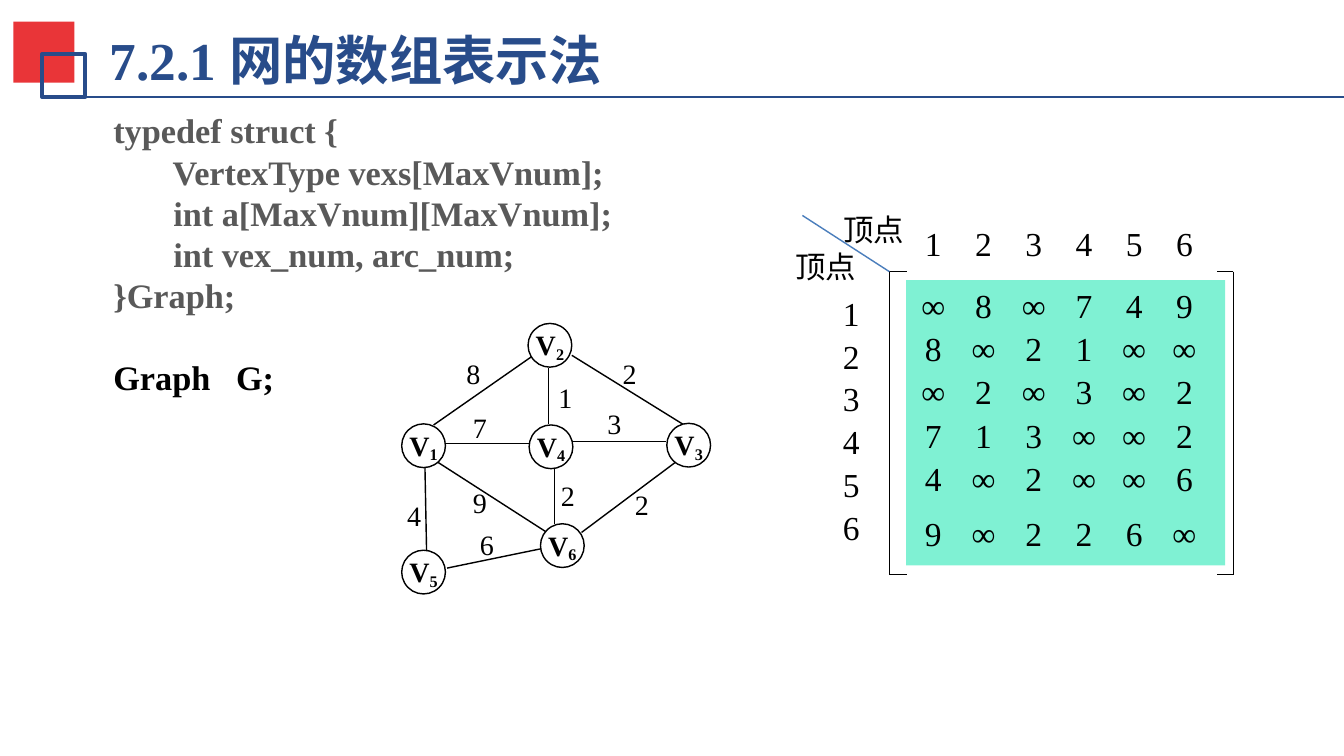
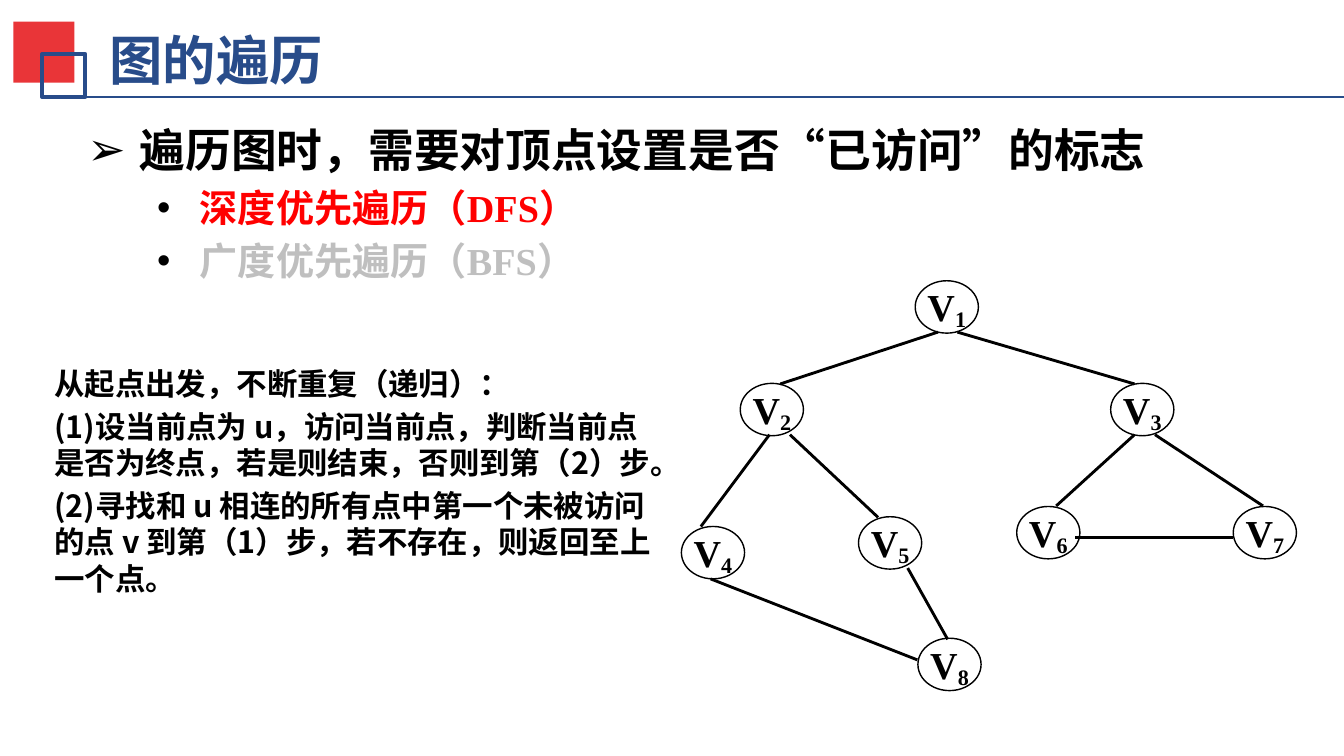
import pptx
import pptx.util
import pptx.dml.color
import pptx.enum.shapes
import pptx.enum.text
import pptx.oxml.ns
from lxml import etree

Cm = pptx.util.Cm
Pt = pptx.util.Pt
RGBColor = pptx.dml.color.RGBColor
ALIGN = pptx.enum.text.PP_ALIGN
ANCHOR = pptx.enum.text.MSO_ANCHOR
SHAPE = pptx.enum.shapes.MSO_SHAPE
qn = pptx.oxml.ns.qn

BLACK = RGBColor(0x00, 0x00, 0x00)
WHITE = RGBColor(0xFF, 0xFF, 0xFF)
NAVY = RGBColor(0x28, 0x4C, 0x8A)
RED_BLOCK = RGBColor(0xE9, 0x35, 0x38)
MINT = RGBColor(0x00, 0xE4, 0xA8)
CODE_GRAY = RGBColor(0x59, 0x59, 0x59)
CORNER_BLUE = RGBColor(0x4B, 0x7E, 0xBC)
BRIGHT_RED = RGBColor(0xFF, 0x00, 0x00)
FADED = RGBColor(0xBF, 0xBF, 0xBF)

SERIF = "Times New Roman"
SANS = "Noto Sans CJK SC"
INSETS = (0.25, 0.13, 0.25, 0.13)
NO_INSETS = (0, 0, 0, 0)


class Deck:
    def __init__(self):
        self.deck = pptx.Presentation()
        self.deck.slide_width = Cm(24.89)
        self.deck.slide_height = Cm(14)
        self.slide = None

    def start(self, heading):
        self.slide = self.deck.slides.add_slide(self.deck.slide_layouts[5])
        title = self.slide.shapes.title
        title.left, title.top, title.width, title.height = Cm(1.85), Cm(0.4), Cm(18), Cm(1.4)
        frame = title.text_frame
        frame.auto_size = pptx.enum.text.MSO_AUTO_SIZE.NONE
        self.frame(frame, (0.18, 0.1, 0.18, 0.1), ANCHOR.MIDDLE)
        self.paragraph(frame, heading, 28, color=NAVY, bold=True)
        self.shape(SHAPE.RECTANGLE, (0.25, 0.4, 1.13, 1.13), RED_BLOCK)
        self.shape(SHAPE.RECTANGLE, (0.78, 1, 0.8, 0.8), None, NAVY, 2)
        self.line((0.97, 1.8, 24.89, 1.8), NAVY)

    def frame(self, frame, insets=INSETS, anchor=ANCHOR.TOP):
        frame.word_wrap = True
        frame.vertical_anchor = anchor
        (frame.margin_left, frame.margin_top,
         frame.margin_right, frame.margin_bottom) = map(Cm, insets)

    def shape(self, kind, box, fill, outline=None, weight=0.75):
        shape = self.slide.shapes.add_shape(kind, *map(Cm, box))
        shape.shadow.inherit = False
        if fill is None:
            shape.fill.background()
        else:
            shape.fill.solid()
            shape.fill.fore_color.rgb = fill
        if outline is None:
            shape.line.fill.background()
        else:
            shape.line.color.rgb = outline
            shape.line.width = Pt(weight)
        return shape

    def line(self, ends, color=BLACK, weight=0.75):
        line = self.slide.shapes.add_connector(
            pptx.enum.shapes.MSO_CONNECTOR.STRAIGHT, *map(Cm, ends))
        line.line.color.rgb = color
        line.line.width = Pt(weight)
        etree.SubElement(line._element.spPr, qn("a:effectLst"))

    def text(self, box, insets=INSETS, anchor=ANCHOR.TOP):
        frame = self.slide.shapes.add_textbox(*map(Cm, box)).text_frame
        self.frame(frame, insets, anchor)
        return frame

    def paragraph(self, frame, words, size, font=SERIF, color=BLACK, bold=False,
                  align=ALIGN.LEFT, spacing=None, before=0, indent=(0, 0), bullet=None):
        first = frame.paragraphs[0]
        is_first = not first.runs
        paragraph = first if is_first else frame.add_paragraph()
        properties = paragraph._p.get_or_add_pPr()
        properties.set("marL", str(Cm(indent[0])))
        properties.set("indent", str(Cm(indent[1])))
        if bullet:
            tint = etree.SubElement(properties, qn("a:buClr"))
            etree.SubElement(tint, qn("a:srgbClr"), val=str(BLACK))
            etree.SubElement(properties, qn("a:buFont"), typeface="Arial")
            etree.SubElement(properties, qn("a:buChar"), char=bullet)
        paragraph.alignment = align
        if spacing:
            paragraph.line_spacing = spacing
        paragraph.space_before = Pt(0 if is_first else before)
        paragraph.font.size = Pt(size)
        paragraph.font.name = font
        paragraph.font.bold = bold
        paragraph.font.color.rgb = color
        for part in [words] if isinstance(words, str) else words:
            paragraph.add_run().text = part
        return paragraph

    def grid(self, corner, column_width, row_heights, rows, size):
        box = (*corner, column_width * len(rows[0]), sum(row_heights))
        table = self.slide.shapes.add_table(len(rows), len(rows[0]), *map(Cm, box)).table
        table.first_row = table.horz_banding = False
        for column in table.columns:
            column.width = Cm(column_width)
        for row, height, values in zip(table.rows, row_heights, rows):
            row.height = Cm(height)
            for cell, value in zip(row.cells, values):
                cell.margin_left = cell.margin_right = 0
                cell.margin_top = cell.margin_bottom = 0
                cell.vertical_anchor = ANCHOR.MIDDLE
                for side in ("a:lnL", "a:lnR", "a:lnT", "a:lnB"):
                    border = etree.SubElement(cell._tc.get_or_add_tcPr(), qn(side), w="0")
                    etree.SubElement(border, qn("a:noFill"))
                cell.fill.background()
                self.paragraph(cell.text_frame, value, size, align=ALIGN.CENTER, spacing=0.9)

    def vertex(self, number, box, size):
        oval = self.shape(SHAPE.OVAL, box, WHITE, BLACK)
        self.frame(oval.text_frame, (0, 0.1, 0, 0))
        label = self.paragraph(oval.text_frame, ["V", str(number)], size, bold=True,
                               align=ALIGN.CENTER, spacing=0.72)
        label.runs[1].font._element.set("baseline", "-16000")

    def vertices(self, corners, width, height, size):
        for number, (left, top) in enumerate(corners, 1):
            self.vertex(number, (left, top, width, height), size)


def array_slide(deck):
    deck.start("7.2.1 网的数组表示法")

    backdrop = deck.shape(SHAPE.RECTANGLE, (16.78, 5.19, 5.91, 5.28), MINT)
    tint = backdrop._element.spPr.find(".//" + qn("a:srgbClr"))
    etree.SubElement(tint, qn("a:alpha"), val="50000")
    rows = ["123456", "∞8∞749", "8∞21∞∞", "∞2∞3∞2", "713∞∞2", "4∞2∞∞6", "9∞226∞"]
    deck.grid((16.82, 3.81), 0.93, [1.5] + [0.8] * 5 + [1.24], rows, 17.6)
    numbers = deck.text((15.37, 5.03, 0.79, 5.59), NO_INSETS, ANCHOR.MIDDLE)
    for number in rows[0]:
        deck.paragraph(numbers, number, 17.6, align=ALIGN.CENTER, spacing=0.9, before=3.5)

    top, bottom = 5.03, 10.64
    for outer, inner in ((16.47, 16.79), (22.84, 22.53)):
        deck.line((outer, top, outer, bottom))
        for level in (top, bottom):
            deck.line((outer, level, inner, level))

    code = deck.text((1.85, 1.9, 12.9, 5.64))
    for statement in ("typedef struct {",
                      "       VertexType vexs[MaxVnum];",
                      "       int a[MaxVnum][MaxVnum];",
                      "       int vex_num, arc_num;",
                      "}Graph;"):
        deck.paragraph(code, statement, 18, color=CODE_GRAY, bold=True)
    deck.paragraph(code, "Graph   G;", 18, bold=True, before=21.5)

    weighted_edges = [
        ((9.88, 6.58, 8.03, 7.87), "8", (8.64, 6.73)),
        ((10.59, 6.58, 12.67, 7.87), "2", (11.53, 6.73)),
        ((8.03, 8.51, 10.13, 9.86), "9", (8.76, 9.12)),
        ((9.83, 8.21, 8.23, 8.21), "7", (8.76, 7.72)),
        ((10.52, 8.18, 12.34, 8.18), "3", (11.25, 7.65)),
        ((10.03, 10.16, 8.28, 10.52), "6", (8.89, 9.88)),
        ((10.16, 7.85, 10.16, 6.81), "1", (10.34, 7.16)),
        ((12.55, 8.53, 10.77, 9.86), "2", (11.76, 9.14)),
        ((7.87, 8.66, 7.9, 10.21), "4", (7.54, 9.35)),
        ((10.27, 8.66, 10.27, 9.7), "2", (10.39, 8.99)),
    ]
    for ends, weight, corner in weighted_edges:
        deck.line(ends)
        label = deck.text((*corner, 0.56, 0.51), NO_INSETS)
        deck.paragraph(label, weight, 14.7, spacing=0.8)
    deck.vertices([(7.44, 7.85), (9.78, 5.99), (12.35, 7.84),
                   (9.8, 7.87), (7.44, 10.19), (10.01, 9.7)], 0.81, 0.81, 14.7)

    corner_label = deck.text((14.63, 3.78, 2.46, 1.63), (0.1, 0.13, 0.1, 0.13))
    for indent in (0.89, 0):
        deck.paragraph(corner_label, "顶点", 16, font="Calibri", indent=(indent, 0))
    deck.line((14.86, 3.99, 16.47, 5.03), CORNER_BLUE)


def traversal_slide(deck):
    deck.start("图的遍历")

    outline = deck.text((1.37, 2.13, 20.68, 3.68))
    deck.paragraph(outline, "遍历图时，需要对顶点设置是否“已访问”的标志", 24, SANS,
                   bold=True, indent=(0.97, -0.97), bullet="➢")
    for method, short, color in (("深度", "DFS", BRIGHT_RED), ("广度", "BFS", FADED)):
        item = deck.paragraph(outline, [f"{method}优先遍历（", short, "）"], 20, SANS, color,
                              bold=True, before=4, indent=(2.08, -0.79), bullet="•")
        item.runs[1].font.name = SERIF

    steps = deck.text((0.76, 6.63, 11.79, 4.7))
    for step in ("从起点出发，不断重复（递归）：",
                 "(1)设当前点为 u，访问当前点，判断当前点是否为终点，若是则结束，否则到第（2）步。",
                 "(2)寻找和 u 相连的所有点中第一个未被访问的点 v 到第（1）步，若不存在，则返回至上一个点。"):
        deck.paragraph(steps, step, 16, SANS, bold=True, before=3.2)

    deck.vertices([(16.95, 5.2), (13.71, 7.1), (20.57, 7.1), (12.62, 9.75),
                   (15.9, 9.57), (18.83, 9.38), (22.84, 9.38), (17, 11.82)],
                  1.17, 0.97, 20)
    for ends in ((17.37, 6.15, 14.45, 7.11), (17.73, 6.15, 21.01, 7.11),
                 (14.25, 8.05, 12.98, 9.75), (14.63, 8.05, 16.26, 9.58),
                 (13.16, 10.72, 16.99, 12.22), (17.55, 11.84, 16.81, 10.52),
                 (21.01, 8.05, 19.56, 9.37), (21.39, 8.05, 23.39, 9.37),
                 (19.91, 9.95, 22.83, 9.95)):
        deck.line(ends, weight=1.5)


def main():
    deck = Deck()
    array_slide(deck)
    traversal_slide(deck)
    deck.deck.save("out.pptx")


if __name__ == "__main__":
    main()
